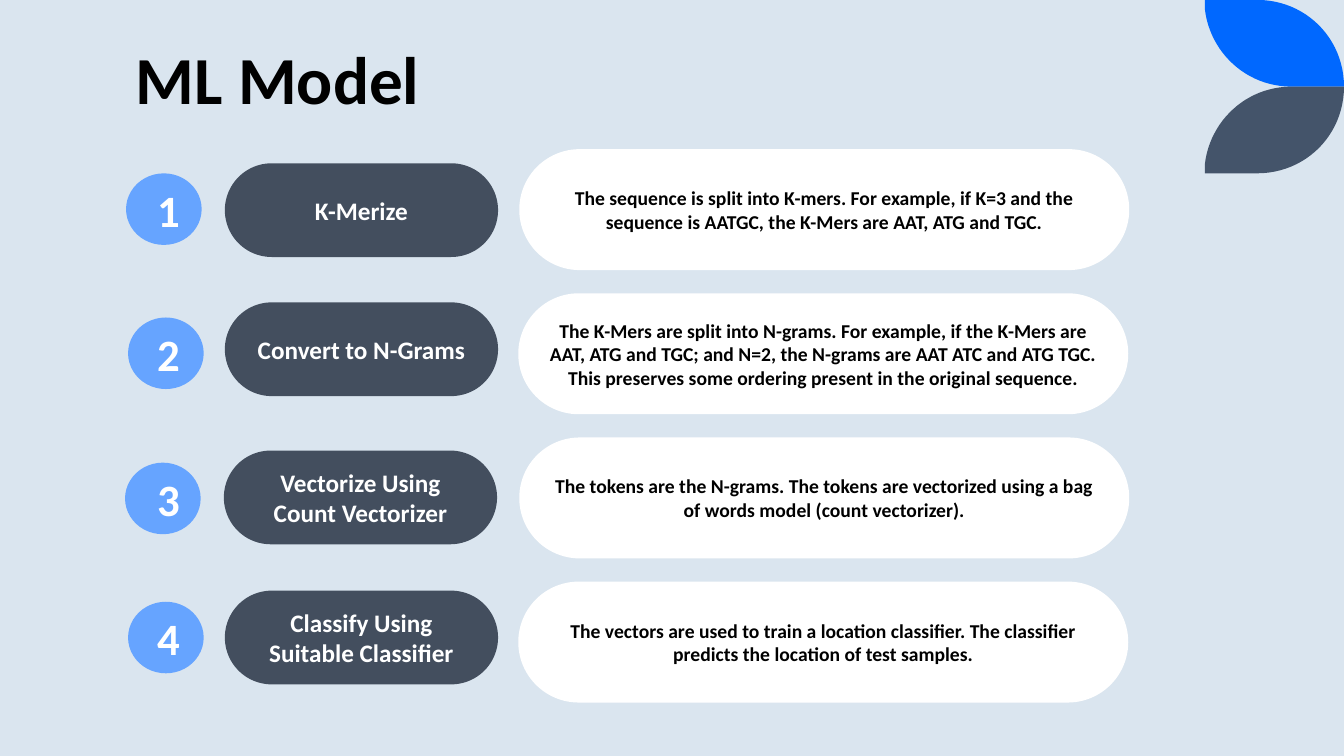
from dataclasses import dataclass

from pptx import Presentation
from pptx.dml.color import RGBColor
from pptx.enum.shapes import MSO_SHAPE
from pptx.enum.text import MSO_ANCHOR, PP_ALIGN
from pptx.util import Inches, Pt


@dataclass(frozen=True)
class Theme:
    font: str = "Calibri"
    background: str = "DAE5EF"
    blue_leaf: str = "0068FF"
    slate_leaf: str = "44546A"
    circle: str = "66A4FF"
    label: str = "434E5E"
    white: str = "FFFFFF"
    black: str = "000000"
    title_size: int = 48
    number_size: int = 32
    label_size: int = 18
    description_size: int = 14


theme = Theme()


def paint(shape, color):
    shape.shadow.inherit = False
    shape.fill.solid()
    shape.fill.fore_color.rgb = RGBColor.from_string(color)
    shape.line.fill.background()


def write(shape, text, size, color, anchor=MSO_ANCHOR.MIDDLE, align=PP_ALIGN.CENTER):
    frame = shape.text_frame
    frame.word_wrap = True
    frame.vertical_anchor = anchor
    paragraph = frame.paragraphs[0]
    paragraph.text = text
    paragraph.alignment = align
    paragraph.font.name = theme.font
    paragraph.font.size = Pt(size)
    paragraph.font.bold = True
    paragraph.font.color.rgb = RGBColor.from_string(color)


presentation = Presentation()
presentation.slide_width = Inches(13.33)
presentation.slide_height = Inches(7.5)
slide = presentation.slides.add_slide(presentation.slide_layouts[6])
slide.background.fill.solid()
slide.background.fill.fore_color.rgb = RGBColor.from_string(theme.background)
shapes = slide.shapes

leaf_curves = [
    [(12.47, 0), (12.95, 0), (13.33, 0.38), (13.33, 0.86)],
    [(12.81, 0.86), (12.36, 0.86), (12, 0.52), (11.95, 0.09)],
]
steps = [i / 24 for i in range(25)]
leaf_points = [(11.95, 0)]
for curve in leaf_curves:
    for t in steps:
        weights = ((1 - t) ** 3, 3 * t * (1 - t) ** 2, 3 * t**2 * (1 - t), t**3)
        leaf_points.append(
            tuple(sum(w * point[axis] for w, point in zip(weights, curve)) for axis in (0, 1))
        )

for color, base, direction in ((theme.blue_leaf, 0, 1), (theme.slate_leaf, 1.72, -1)):
    outline = [(Inches(x), Inches(base + direction * y)) for x, y in leaf_points]
    builder = shapes.build_freeform(*outline[0])
    builder.add_line_segments(outline[1:], close=True)
    paint(builder.convert_to_shape(), color)

title = shapes.add_textbox(Inches(1.25), Inches(0.42), Inches(5.97), Inches(0.81))
write(title, "ML Model", theme.title_size, theme.black, MSO_ANCHOR.BOTTOM, PP_ALIGN.LEFT)
title.text_frame.paragraphs[0].line_spacing = 0.9

stages = [
    (1.25, 1.72, 2.23, 1.62, 5.15, "K-Merize",
     "The sequence is split into K-mers. For example, if K=3 and the sequence is AATGC, "
     "the K-Mers are AAT, ATG and TGC."),
    (1.27, 3.15, 2.23, 3, 5.14, "Convert to N-Grams",
     "The K-Mers are split into N-grams. For example, if the K-Mers are AAT, ATG and TGC; "
     "and N=2, the N-grams are AAT ATC and ATG TGC. "
     "This preserves some ordering present in the original sequence."),
    (1.24, 4.59, 2.22, 4.47, 5.15, "Vectorize Using Count Vectorizer",
     "The tokens are the N-grams. The tokens are vectorized using a bag of words model "
     "(count vectorizer)."),
    (1.27, 5.97, 2.23, 5.86, 5.14, "Classify Using Suitable Classifier",
     "The vectors are used to train a location classifier. The classifier predicts "
     "the location of test samples."),
]

for index, stage in enumerate(stages):
    circle_left, circle_top, label_left, label_top, description_left, name, description = stage

    circle = shapes.add_shape(
        MSO_SHAPE.OVAL, Inches(circle_left), Inches(circle_top), Inches(0.75), Inches(0.71)
    )
    paint(circle, theme.circle)
    number = shapes.add_textbox(
        Inches(1.46), Inches(circle_top + 0.04), Inches(0.32), Inches(0.64)
    )
    write(number, str(index + 1), theme.number_size, theme.white, MSO_ANCHOR.TOP)

    pills = [
        (label_left, label_top, 2.71, 0.93, theme.label, name, theme.label_size, theme.white),
        (description_left, 1.48 + 1.43 * index, 6.05, 1.2, theme.white, description,
         theme.description_size, theme.black),
    ]
    for left, top, width, height, fill, text, size, color in pills:
        pill = shapes.add_shape(
            MSO_SHAPE.ROUNDED_RECTANGLE, Inches(left), Inches(top), Inches(width), Inches(height)
        )
        pill.adjustments[0] = 0.5
        paint(pill, fill)
        write(pill, text, size, color)

presentation.save("out.pptx")
